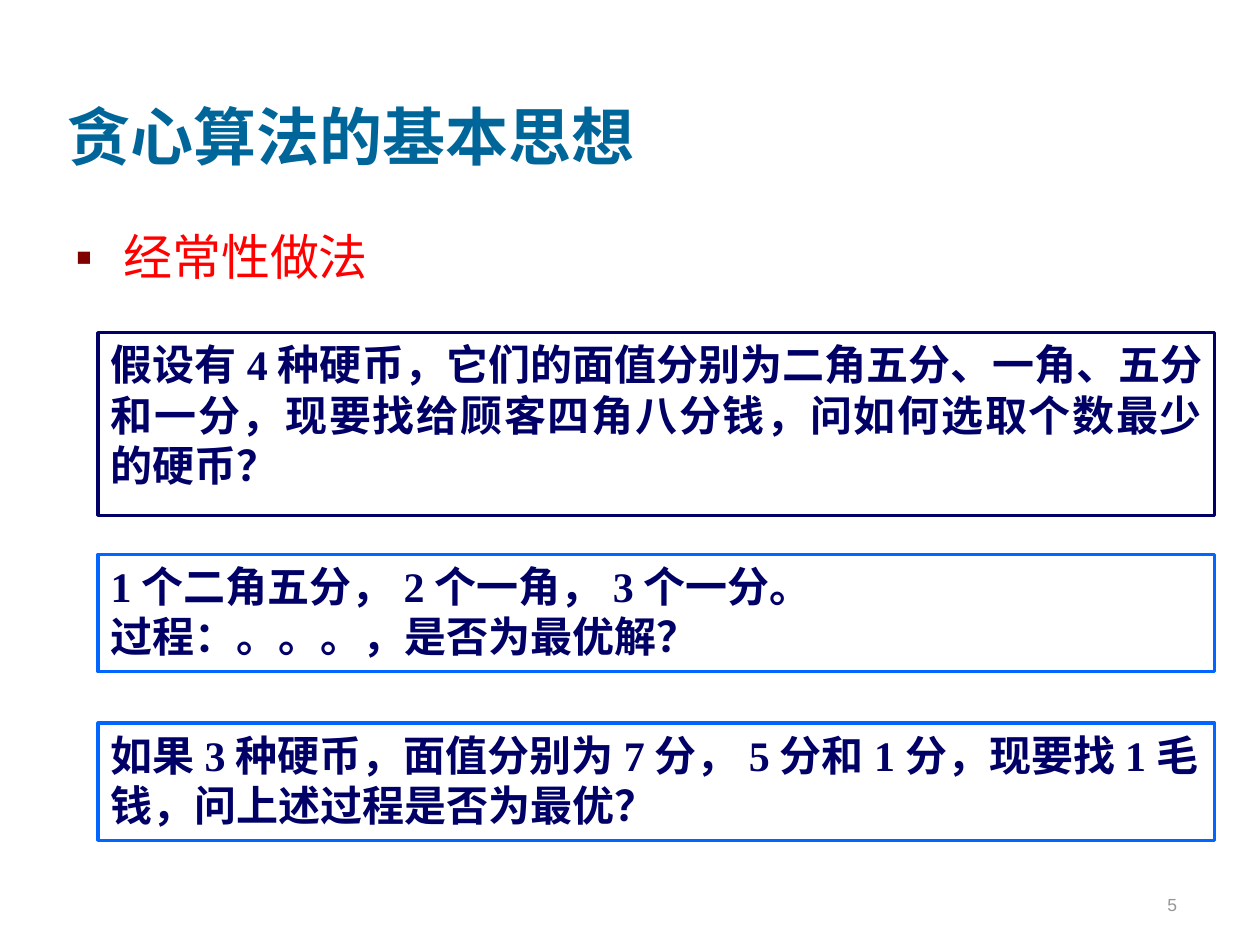
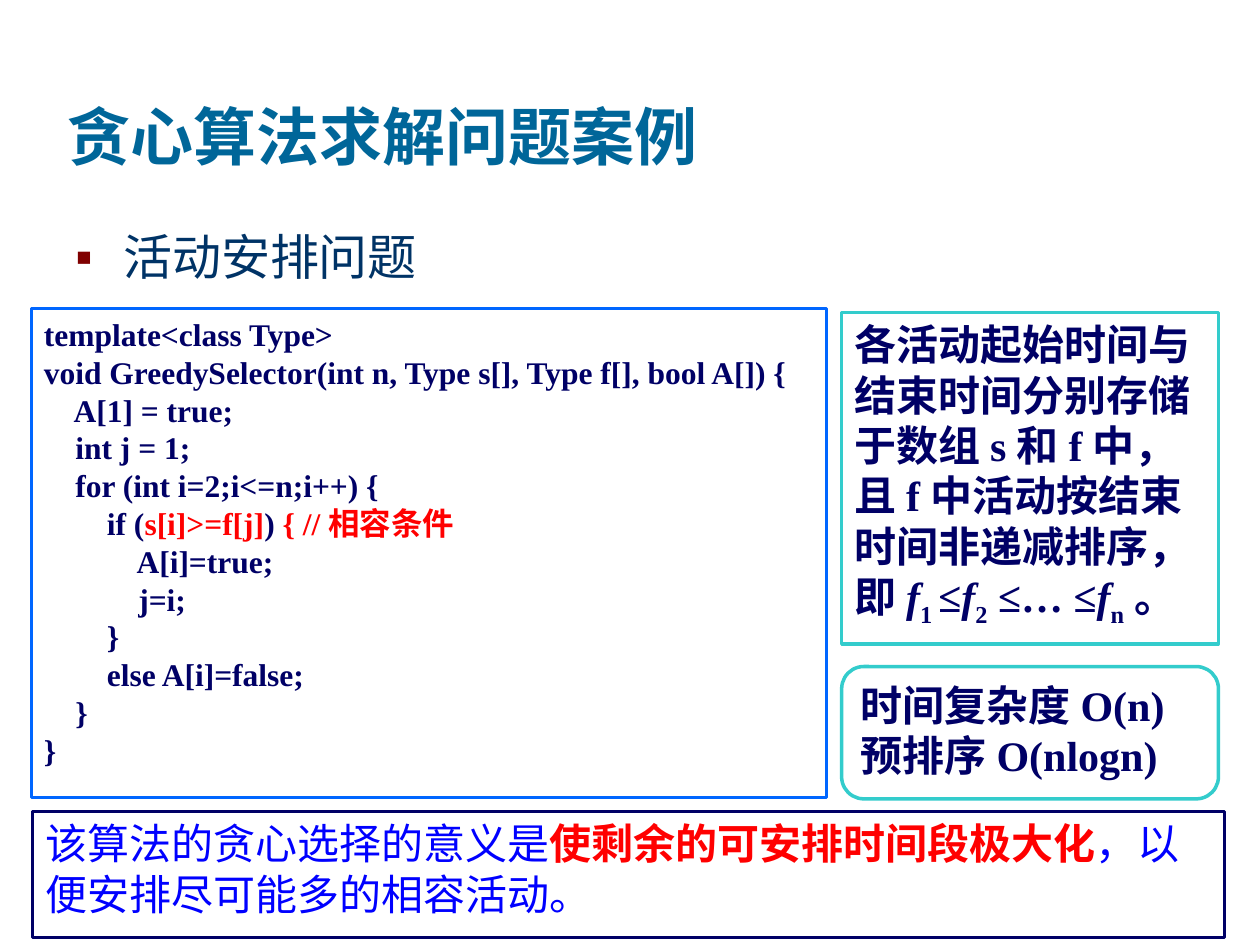
from lxml.etree import SubElement
from pptx import Presentation
from pptx.dml.color import RGBColor
from pptx.enum.shapes import MSO_SHAPE as SHAPE
from pptx.enum.text import MSO_ANCHOR as ANCHOR, PP_ALIGN as ALIGN
from pptx.oxml.ns import qn
from pptx.util import Inches, Pt

NAVY, BLUE, TEAL = "000066", "0066FF", "33CCCC"
RED, INK, LINK_BLUE = "FF0000", "003366", "0000FF"
TITLE_COLOR, BULLET_COLOR, NUMBER_COLOR = "006699", "800000", "969696"
SERIF = "Times New Roman"


def rgb(value):
    return RGBColor.from_string(value)


def sub(text):
    return text, {"sub": True}


def italic(text):
    return text, {"italic": True}


def red(text, **style):
    return text, {"color": RED, **style}


class Deck:
    def __init__(self):
        self.prs = Presentation()
        self.prs.slide_width, self.prs.slide_height = Inches(10), Inches(7.5)
        self.s = None

    def slide(self, title, topic, color, font=SERIF):
        self.s = self.prs.slides.add_slide(self.prs.slide_layouts[6])
        self.text((0.44, 0.17, 8.5, 1.25), [title], anchor=ANCHOR.BOTTOM,
                  size=36, color=TITLE_COLOR)
        self.bullet(topic, color, font)

    def fill_text(self, tf, lines, anchor=ANCHOR.TOP, align=ALIGN.LEFT, **style):
        tf.word_wrap = True
        tf.vertical_anchor = anchor
        for i, line in enumerate(lines):
            p = tf.add_paragraph() if i else tf.paragraphs[0]
            p.alignment = align
            for part in [line] if isinstance(line, str) else line:
                text, own = (part, {}) if isinstance(part, str) else part
                self.run(p, text, **{**style, **own})

    def run(self, p, text, size=24, color=NAVY, font=SERIF, bold=True,
            italic=False, sub=False):
        r = p.add_run()
        r.text = text
        f = r.font
        f.size, f.name, f.bold, f.italic = Pt(size), font, bold, italic
        f.color.rgb = rgb(color)
        if sub:
            r._r.get_or_add_rPr().set("baseline", "-25000")

    def text(self, at, lines, **style):
        sp = self.s.shapes.add_textbox(*map(Inches, at))
        self.fill_text(sp.text_frame, lines, **style)
        return sp

    def bullet(self, topic, color, font):
        sp = self.text((0.5, 1.75, 8.94, 4.88), [topic], size=28, color=color,
                       font=font, bold=False)
        pPr = sp.text_frame.paragraphs[0]._p.get_or_add_pPr()
        pPr.set("marL", str(Inches(0.38)))
        pPr.set("indent", str(-Inches(0.38)))
        SubElement(SubElement(pPr, qn("a:buClr")), qn("a:srgbClr")).set("val", BULLET_COLOR)
        SubElement(pPr, qn("a:buFont")).set("typeface", "Arial")
        SubElement(pPr, qn("a:buChar")).set("char", "▪")

    def box(self, at, lines, line, kind=SHAPE.RECTANGLE, **style):
        sp = self.s.shapes.add_shape(kind, *map(Inches, at))
        sp.shadow.inherit = False
        sp.fill.solid()
        sp.fill.fore_color.rgb = rgb("FFFFFF")
        sp.line.color.rgb = rgb(line)
        sp.line.width = Pt(2)
        self.fill_text(sp.text_frame, lines, **style)

    def number(self, value):
        self.text((7.36, 6.81, 2.08, 0.5), [str(value)], anchor=ANCHOR.BOTTOM,
                  align=ALIGN.RIGHT, size=10, color=NUMBER_COLOR, font="Arial",
                  bold=False)


def coin_slide(deck):
    deck.slide("贪心算法的基本思想", "经常性做法", RED, "Vollkorn")
    deck.number(5)
    left, width = 0.78, 8.86
    deck.box((left, 2.64, width, 1.45),
             ["假设有4种硬币，它们的面值分别为二角五分、一角、五分和一分，"
              "现要找给顾客四角八分钱，问如何选取个数最少的硬币？"],
             NAVY, align=ALIGN.JUSTIFY)
    deck.box((left, 4.4, width, 0.93),
             ["1个二角五分，2个一角，3个一分。", "过程：。。。，是否为最优解？"], BLUE)
    deck.box((left, 5.74, width, 0.93),
             ["如果3种硬币，面值分别为7分，5分和1分，现要找1毛钱，问上述过程是否为最优？"],
             BLUE)


def activity_slide(deck):
    deck.slide("贪心算法求解问题案例", "活动安排问题", INK)
    code = [
        "template<class Type>",
        "void GreedySelector(int n, Type s[], Type f[], bool A[]) {",
        "    A[1] = true;",
        "    int j = 1;",
        "    for (int i=2;i<=n;i++) {",
        ["        if (", red("s[i]>=f[j]"), ") ", red("{ //相容条件")],
        "            A[i]=true;",
        "            j=i;",
        "        }",
        "        else A[i]=false;",
        "    }",
        "}",
    ]
    deck.box((0.25, 2.45, 6.31, 3.88), code, BLUE, size=18)
    side, width = 6.68, 2.99
    ordering = ["各活动起始时间与结束时间分别存储于数组s和f中，且f中活动按结束时间非递减排序，即",
                italic("f"), sub("1 "), "≤", italic("f"), sub("2"), " ≤… ≤",
                italic("f"), sub("n"), "。"]
    deck.box((side, 2.48, width, 2.63), [ordering], TEAL)
    deck.box((side, 5.29, width, 1.05), ["时间复杂度O(n)", "预排序O(nlogn)"], TEAL,
             SHAPE.ROUNDED_RECTANGLE)
    meaning = ["该算法的贪心选择的意义是", red("使剩余的可安排时间段极大化", bold=True),
               "，以便安排尽可能多的相容活动。"]
    deck.box((0.26, 6.44, 9.46, 1), [meaning], NAVY, color=LINK_BLUE,
             font="Calibri", bold=False)


def main():
    deck = Deck()
    coin_slide(deck)
    activity_slide(deck)
    deck.prs.save("out.pptx")


if __name__ == "__main__":
    main()
